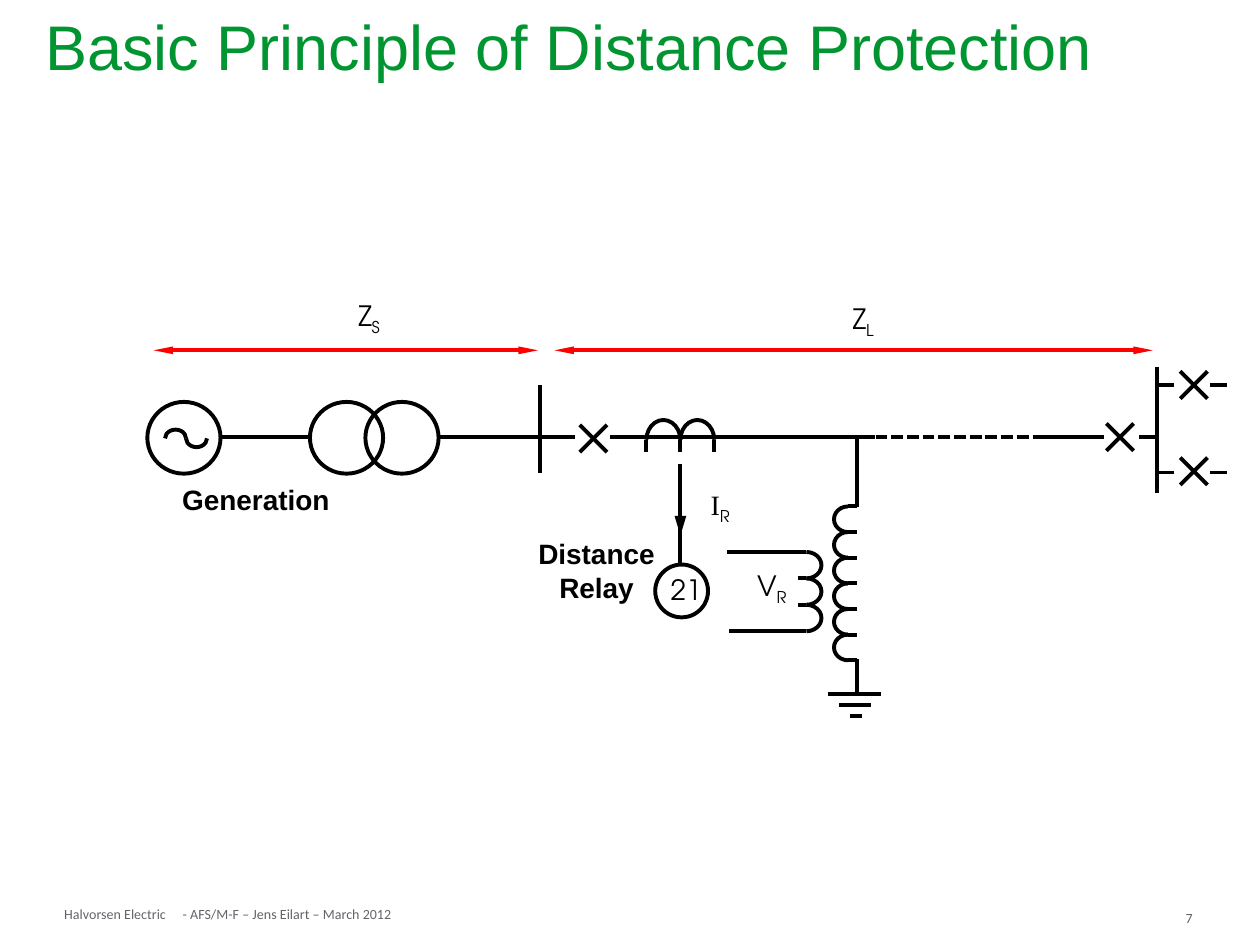
from dataclasses import dataclass
from typing import NamedTuple

from lxml.etree import SubElement
from pptx import Presentation
from pptx.dml.color import RGBColor
from pptx.enum.dml import MSO_LINE
from pptx.enum.shapes import MSO_CONNECTOR, MSO_SHAPE
from pptx.enum.text import MSO_ANCHOR, MSO_AUTO_SIZE, PP_ALIGN
from pptx.oxml.ns import qn
from pptx.util import Pt

BLACK = RGBColor(0, 0, 0)
RED = RGBColor(0xFF, 0, 0)
GREEN = RGBColor(0, 0x95, 0x30)
GREY = RGBColor(0x62, 0x64, 0x69)
SANS, SERIF, GOTHIC, SMALL = "Arial", "Times New Roman", "TeX Gyre Adventor", "Calibri"
WEIGHT = 2.25
BUS = 249.8  # height of the main line


class Wire(NamedTuple):
    x1: float
    y1: float
    x2: float
    y2: float


class Ring(NamedTuple):
    x: float
    y: float
    w: float
    h: float


class Arc(NamedTuple):
    x: float
    y: float
    w: float
    h: float
    start: int


class Coil(NamedTuple):
    mid: float
    top: float
    pitch: float
    turns: int
    reach: float  # signed bulge from mid
    tap: float  # x of the outer stub ends


@dataclass
class Label:
    x: float
    y: float
    w: float
    h: float
    text: str
    sub: str = ""
    font: str = GOTHIC
    size: float = 16
    bold: bool = False
    color: RGBColor = BLACK
    align: PP_ALIGN = PP_ALIGN.CENTER
    inset: float = 0.72
    wrap: bool = True


WIRES = [
    Wire(126.4, BUS, 177, BUS),
    Wire(250, BUS, 328.5, BUS),
    Wire(308.7, 219.8, 308.7, 270),
    Wire(348.5, BUS, 500, BUS),
    Wire(590.4, BUS, 631, BUS),
    Wire(651, BUS, 661, BUS),
    Wire(661, 209.5, 661, 281.5),
    Wire(489.6, BUS, 489.6, 290),
    Wire(489.6, 376.6, 489.6, 396.7),
    Wire(388.8, 265, 388.8, 322),
    Wire(415.4, 315.4, 457.2, 315.4),
    Wire(416.6, 360.7, 458, 360.7),
    # earth
    Wire(473, 396.7, 503.3, 396.7),
    Wire(479.4, 402.8, 497.8, 402.8),
    Wire(485.5, 409, 492.5, 409),
] + [Wire(x, y, x + 10.1, y) for y in (219.8, 270) for x in (661, 691.2)]

RINGS = [
    Ring(208.8, 229.7, 41.8, 41),
    Ring(177.1, 229.7, 41.8, 41),
    Ring(84.2, 229.7, 41.8, 41),
    Ring(374.4, 322.6, 30.2, 30.2),
]

BREAKERS = [(640, 249.8), (682.2, 220), (682.2, 269.3), (339.1, 250.6)]

COILS = [
    Coil(484.6, 289.4, 14.65, 6, -8, 489.6),
    Coil(460.8, 315.4, 15.1, 3, 8.6, 455.8),
]

LABELS = [
    Label(36.7, 517.7, 63.4, 9.4, "Halvorsen Electric", font=SMALL, size=8,
          color=GREY, align=PP_ALIGN.LEFT, inset=0, wrap=False),
    Label(677.5, 519.8, 23, 5.8, "7", font=SMALL, size=8,
          color=GREY, align=PP_ALIGN.LEFT, inset=0),
    Label(104.4, 517.7, 126, 9.4, "- AFS/M-F – Jens Eilart – March 2012", font=SMALL,
          size=8, color=GREY, align=PP_ALIGN.LEFT, inset=0, wrap=False),
    Label(478.1, 171.4, 30.2, 37.4, "Z", "L"),
    Label(192.2, 169.9, 37.4, 44.6, "Z", "S"),
    Label(67.7, 275, 157, 27.4, "Generation", font=SANS, bold=True),
    Label(275, 306, 131.8, 58.3, "Distance\nRelay", font=SANS, bold=True),
    Label(396.7, 277.9, 29.5, 41.8, "I", "R", font=SERIF),
    Label(377.3, 326.2, 29.5, 33.8, "21"),
    Label(424.8, 324, 32.4, 41.8, "V", "R"),
]


def draw_wire(shapes, wire: Wire, color: RGBColor = BLACK):
    line = shapes.add_connector(MSO_CONNECTOR.STRAIGHT, *map(Pt, wire))
    line.line.color.rgb = color
    line.line.width = Pt(WEIGHT)
    SubElement(line._element.spPr, qn("a:effectLst"))
    return line


def add_heads(line, ends: tuple[str, ...], width: str) -> None:
    for end in ends:
        SubElement(line.line._get_or_add_ln(), qn(f"a:{end}"),
                   type="triangle", w=width, len="lg")


def draw_outline(shapes, kind: MSO_SHAPE, box: tuple):
    shape = shapes.add_shape(kind, *map(Pt, box))
    shape.shadow.inherit = False
    shape.fill.background()
    shape.line.color.rgb = BLACK
    shape.line.width = Pt(WEIGHT)
    return shape


def draw_arc(shapes, arc: Arc) -> None:
    """Draw half an ellipse, clockwise from the start angle in degrees."""
    shape = draw_outline(shapes, MSO_SHAPE.ARC, arc[:4])
    for i, turn in enumerate((0, 180)):
        shape.adjustments[i] = (arc.start + turn) % 360 * 0.6


def draw_coil(shapes, coil: Coil) -> None:
    start = 90 if coil.reach < 0 else 270
    half = abs(coil.reach)
    for i in range(coil.turns + 1):
        y = coil.top + i * coil.pitch
        draw_wire(shapes, Wire(coil.mid, y, coil.tap, y))
        if i < coil.turns:
            draw_arc(shapes, Arc(coil.mid - half, y, 2 * half, coil.pitch, start))


def draw_cross(shapes, x: float, y: float, half: float = 7.8) -> None:
    for rise in (half, -half):
        draw_wire(shapes, Wire(x - half, y - rise, x + half, y + rise))


def draw_label(shapes, label: Label) -> None:
    box = shapes.add_textbox(*map(Pt, (label.x, label.y, label.w, label.h)))
    frame = box.text_frame
    frame.word_wrap = label.wrap
    frame.margin_left = frame.margin_right = Pt(label.inset)
    frame.margin_top = frame.margin_bottom = Pt(label.inset)
    frame.text = label.text
    if label.sub:
        run = frame.paragraphs[0].add_run()
        run.text = label.sub
        run._r.get_or_add_rPr().set("baseline", "-25000")
    for para in frame.paragraphs:
        para.alignment = label.align
        for i, run in enumerate(para.runs):
            run.font.name = GOTHIC if i else label.font
            run.font.size = Pt(label.size)
            run.font.bold = label.bold
            run.font.color.rgb = label.color


def set_title(title) -> None:
    title.left, title.top, title.width, title.height = map(Pt, (18.7, 5.8, 679.7, 46.1))
    frame = title.text_frame
    frame.text = "Basic Principle of Distance Protection"
    frame.auto_size = MSO_AUTO_SIZE.NONE
    frame.vertical_anchor = MSO_ANCHOR.MIDDLE
    para = frame.paragraphs[0]
    para.alignment = PP_ALIGN.LEFT
    para.line_spacing = 0.9
    font = para.runs[0].font
    font.name, font.size, font.color.rgb = SANS, Pt(36), GREEN


def main() -> None:
    deck = Presentation()
    deck.slide_width, deck.slide_height = Pt(720), Pt(540)
    slide = deck.slides.add_slide(deck.slide_layouts[5])
    shapes = slide.shapes
    set_title(shapes.title)

    for ring in RINGS:
        draw_outline(shapes, MSO_SHAPE.OVAL, ring)
    for wire in WIRES:
        draw_wire(shapes, wire)
    dash = draw_wire(shapes, Wire(500.4, BUS, 589.7, BUS))
    dash.line.dash_style = MSO_LINE.SQUARE_DOT
    for x, y in BREAKERS:
        draw_cross(shapes, x, y)
    for coil in COILS:
        draw_coil(shapes, coil)

    # current transformer
    left, step = 369.4, 19.4
    for i in range(3):
        x = left + i * step
        draw_wire(shapes, Wire(x, 251.3, x, 258.5))
        if i < 2:
            draw_arc(shapes, Arc(x, 240, step, 22.6, 180))

    # generator wave
    for x, start in ((94.3, 180), (106.3, 0)):
        draw_arc(shapes, Arc(x, 245.5, 12, 10, start))

    for x1, x2 in ((87.8, 307.4), (316.8, 658.8)):
        span = draw_wire(shapes, Wire(x1, 200.2, x2, 200.2), RED)
        add_heads(span, ("headEnd", "tailEnd"), "sm")
    flow = draw_wire(shapes, Wire(388.8, 277.9, 388.8, 306))
    add_heads(flow, ("tailEnd",), "med")

    for label in LABELS:
        draw_label(shapes, label)
    deck.save("out.pptx")


if __name__ == "__main__":
    main()
